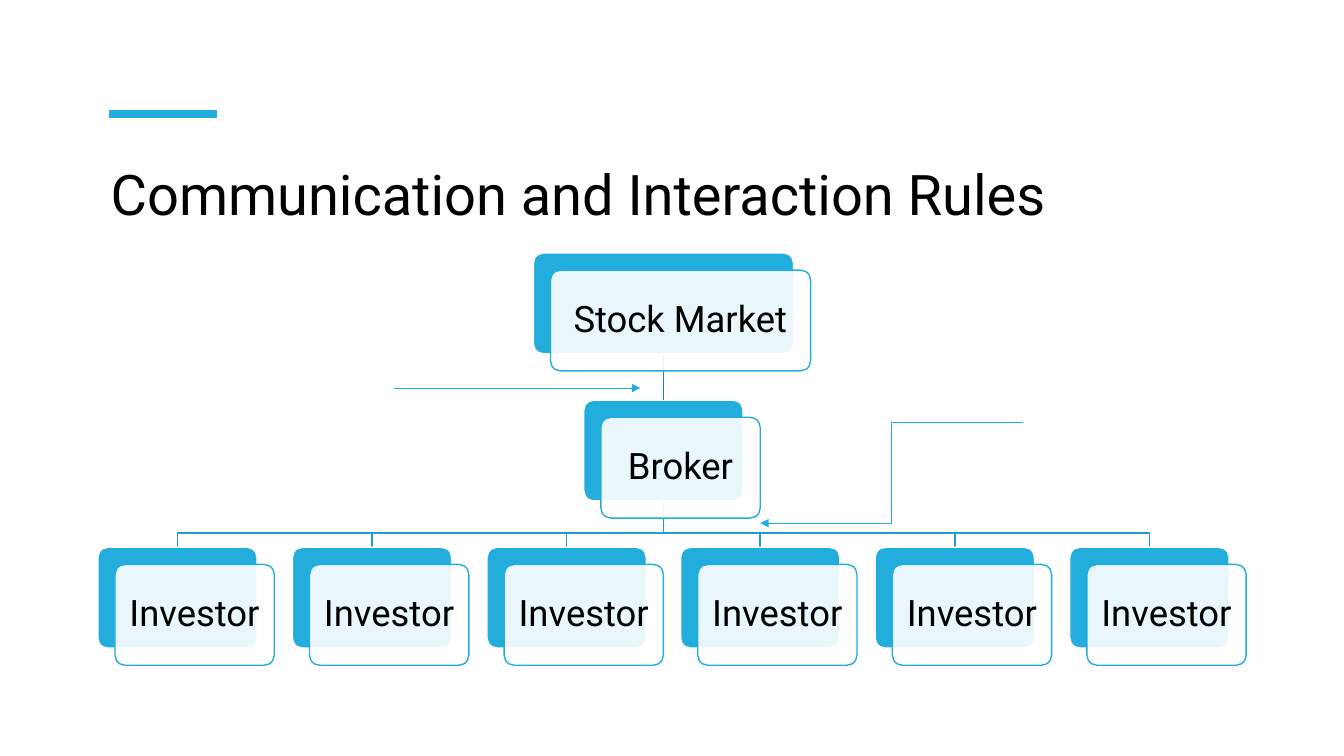
from dataclasses import dataclass

from lxml.etree import SubElement
from pptx import Presentation
from pptx.dml.color import RGBColor
from pptx.enum.shapes import MSO_CONNECTOR as Link, MSO_SHAPE as Preset
from pptx.enum.text import MSO_ANCHOR as Anchor, PP_ALIGN as Align
from pptx.oxml.ns import qn
from pptx.util import Emu, Pt

PX = 9144  # EMU in one px, 100 px to the inch
TOP, BOTTOM = 0, 2
CARD_WIDTH, CARD_HEIGHT = 158, 100
FRONT_SHIFT = 17
INVESTOR_COUNT, INVESTOR_LEFT, INVESTOR_TOP, INVESTOR_PITCH = 6, 97, 543, 192.8
FORK_Y = 529


@dataclass(frozen=True)
class Theme:
    font: str = "Roboto"
    title_size: int = 40
    card_size: int = 26
    text: str = "000000"
    paper: str = "FFFFFF"
    accent: str = "23ADDC"
    trunk: str = "1C8BB0"
    branch: str = "209DC8"


THEME = Theme()


def px(*lengths):
    return [Emu(round(length * PX)) for length in lengths]


def set_line(line, color, width):
    line.color.rgb = RGBColor.from_string(color)
    line.width = Pt(width)


def write(shape, text, *, size, align=Align.LEFT, inset=10):
    frame = shape.text_frame
    frame.word_wrap = True
    frame.vertical_anchor = Anchor.MIDDLE
    frame.margin_left = frame.margin_right = px(inset)[0]
    para = frame.paragraphs[0]
    para.alignment = align
    para.line_spacing = 0.9
    span = para.add_run()
    span.text = text
    span.font.name = THEME.font
    span.font.size = Pt(size)
    span.font.color.rgb = RGBColor.from_string(THEME.text)


def add_line(page, start, end, *, color, width, kind=Link.STRAIGHT, arrow=False):
    connector = page.shapes.add_connector(kind, *px(*start, *end))
    set_line(connector.line, color, width)
    if arrow:
        SubElement(connector.line._get_or_add_ln(), qn("a:tailEnd"), type="triangle")
    SubElement(connector._element.spPr, qn("a:effectLst"))
    return connector


def add_panel(page, box, *, fill, line, opacity=100):
    panel = page.shapes.add_shape(Preset.ROUNDED_RECTANGLE, *px(*box))
    panel.adjustments[0] = 0.1
    panel.shadow.inherit = False
    panel.fill.solid()
    panel.fill.fore_color.rgb = RGBColor.from_string(fill)
    if opacity < 100:
        color = panel._element.spPr.find(qn("a:solidFill"))[0]
        SubElement(color, qn("a:alpha"), val=str(opacity * 1000))
    set_line(panel.line, line, 1)
    return panel


def add_back(page, left, top, width):
    box = (left, top, width, CARD_HEIGHT)
    return add_panel(page, box, fill=THEME.accent, line=THEME.paper)


def add_front(page, text, left, top, width):
    box = (left + FRONT_SHIFT, top + FRONT_SHIFT, width, CARD_HEIGHT)
    front = add_panel(page, box, fill=THEME.paper, line=THEME.accent, opacity=90)
    write(front, text, size=THEME.card_size, align=Align.CENTER)


def add_branch(page, parent, child):
    """Draw the stepped line from a parent's bottom to a child's top."""
    parent_left, parent_top, parent_width = parent
    child_left, child_top, child_width = child
    start_x = parent_left + parent_width // 2
    end_x = child_left + child_width // 2
    builder = page.shapes.build_freeform(start_x, parent_top + CARD_HEIGHT, PX)
    builder.add_line_segments(
        [(start_x, FORK_Y), (end_x, FORK_Y), (end_x, child_top)], close=False
    )
    branch = builder.convert_to_shape()
    branch.shadow.inherit = False
    branch.fill.background()
    set_line(branch.line, THEME.branch, 1)


def add_hierarchy(page):
    market = (529, 251, 258)
    broker = (579, 397, CARD_WIDTH)
    investors = [
        (round(INVESTOR_LEFT + i * INVESTOR_PITCH), INVESTOR_TOP, CARD_WIDTH)
        for i in range(INVESTOR_COUNT)
    ]
    for investor in investors:
        add_branch(page, broker, investor)
    cards = [("Stock Market", market), ("Broker", broker)]
    cards += [("Investor", investor) for investor in investors]
    backs = [add_back(page, *place) for _, place in cards]
    trunk = add_line(page, (658, 351), (658, 397), color=THEME.trunk, width=1)
    trunk.begin_connect(backs[0], BOTTOM)
    trunk.end_connect(backs[1], TOP)
    for text, place in cards:
        add_front(page, text, *place)


def main():
    deck = Presentation()
    deck.slide_width, deck.slide_height = px(1333, 750)
    page = deck.slides.add_slide(deck.slide_layouts[6])

    add_line(page, (108, 113), (215, 113), color=THEME.accent, width=6)
    title = page.shapes.add_textbox(*px(100, 150, 1133, 92))
    write(title, "Communication and Interaction Rules", size=THEME.title_size)
    add_hierarchy(page)
    pointer = dict(color=THEME.accent, width=0.5, arrow=True)
    add_line(page, (391, 385), (635, 385), **pointer)
    add_line(page, (1015, 419), (754, 519), kind=Link.ELBOW, **pointer)

    deck.save("out.pptx")


if __name__ == "__main__":
    main()
